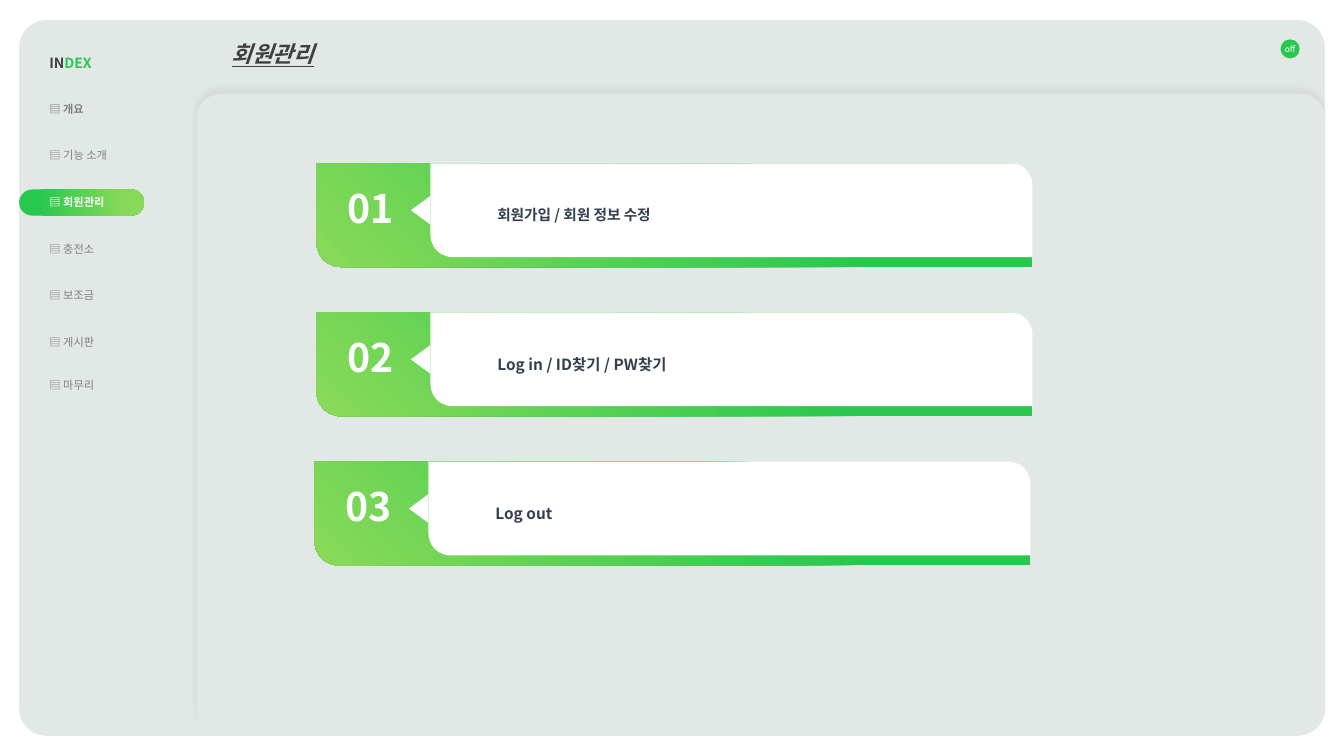
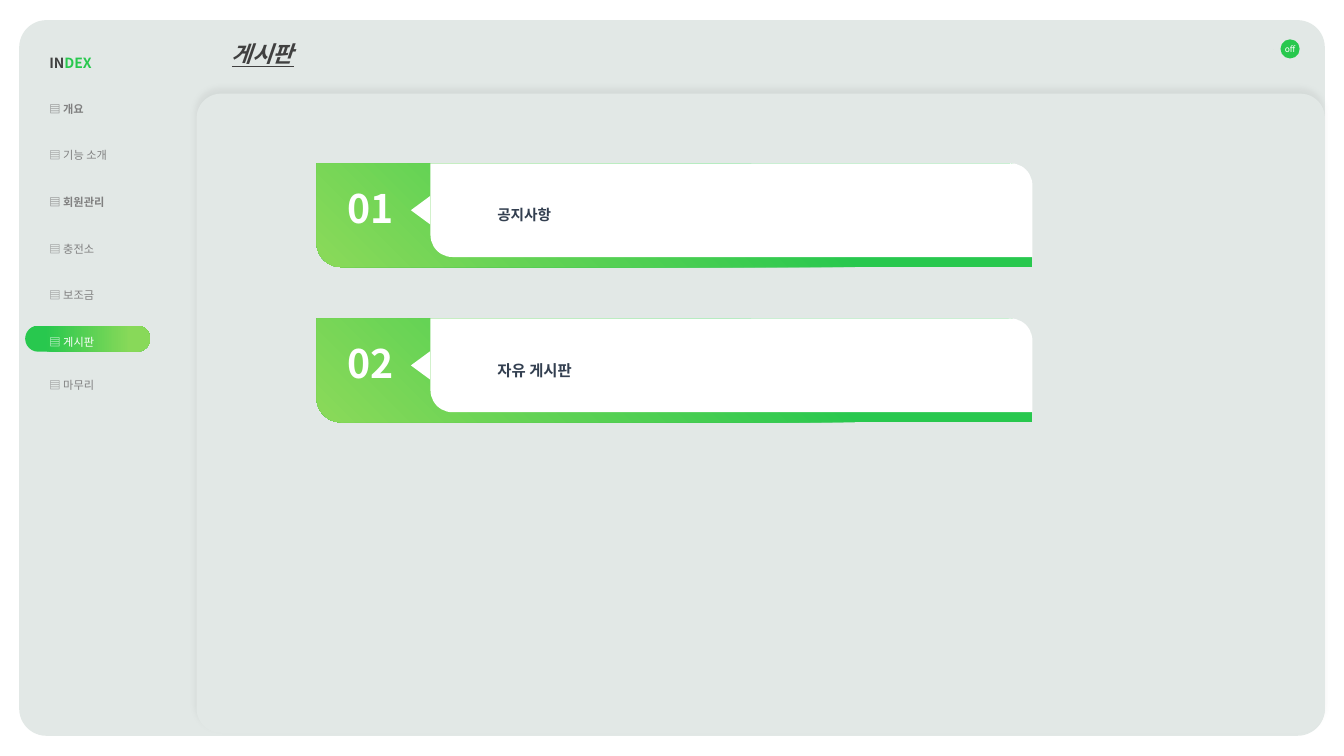
from lxml.etree import SubElement
from pptx import Presentation
from pptx.dml.color import RGBColor
from pptx.enum.shapes import MSO_SHAPE as SHAPE
from pptx.enum.text import MSO_ANCHOR as ANCHOR, MSO_AUTO_SIZE as AUTO_SIZE, PP_ALIGN as ALIGN
from pptx.oxml.ns import qn
from pptx.util import Inches, Pt

FONT = "Noto Sans CJK KR"
COLORS = {
    "panel": "E2E8E6",
    "green": "28C84E",
    "lime": "88D959",
    "white": "FFFFFF",
    "shadow": "000000",
    "title": "404040",
    "menu": "808080",
    "phone": "595959",
    "card_text": "333F50",
}
MENU = ["개요", "기능 소개", "회원관리", "충전소", "보조금", "게시판", "마무리"]
BOLD_MENU = {"개요", "회원관리"}
NO_TABLE_STYLE = "{2D5ABB26-0587-4C30-8999-92F81FD0307C}"
CARD_TOP = 1.62
SLIDES = [
    {
        "title": "회원관리",
        "title_width": 1.1,
        "pill": (0.19, 1.88),
        "pitch": 1.48,
        "cards": [
            (3.14, "회원가입 / 회원 정보 수정", 10.5),
            (3.14, "Log in / ID찾기 / PW찾기", 11),
            (3.12, "Log out", 11),
        ],
    },
    {
        "title": "게시판",
        "title_width": 0.88,
        "pill": (0.25, 3.23),
        "pitch": 1.54,
        "cards": [(3.14, "공지사항", 10.5), (3.14, "자유 게시판", 11)],
    },
]


def rgb(name):
    return RGBColor.from_string(COLORS[name])


def style_font(font, size, color, bold=False):
    font.name = FONT
    font.size = Pt(size)
    font.bold = bold
    font.color.rgb = rgb(color)
    SubElement(font._rPr, qn("a:ea"), typeface=FONT)


def write(frame, text, size, color, bold=False, align=ALIGN.LEFT, spacing=None):
    """Fill a text frame with one paragraph in one style."""
    frame.text = text
    paragraph = frame.paragraphs[0]
    paragraph.alignment = align
    paragraph.line_spacing = spacing
    style_font(paragraph.font, size, color, bold)
    return paragraph


def set_margins(frame, left, top, right, bottom):
    frame.margin_left, frame.margin_top = Inches(left), Inches(top)
    frame.margin_right, frame.margin_bottom = Inches(right), Inches(bottom)


def add_plain(shapes, kind, left, top, width, height, color=None, adjustments=()):
    """Add a preset shape without outline or shadow."""
    shape = shapes.add_shape(kind, Inches(left), Inches(top), Inches(width), Inches(height))
    for index, value in enumerate(adjustments):
        shape.adjustments[index] = value
    shape.shadow.inherit = False
    shape.line.fill.background()
    if color:
        shape.fill.solid()
        shape.fill.fore_color.rgb = rgb(color)
    return shape


def fill_gradient(shape, start, end, clockwise_angle):
    """Blend green into lime between two positions from 0 to 1."""
    shape.fill.gradient()
    shape.fill.gradient_angle = -clockwise_angle % 360
    for stop, position, color in zip(shape.fill.gradient_stops, (start, end), ("green", "lime")):
        stop.position = position
        stop.color.rgb = rgb(color)


def add_upward_shadow(shape):
    effects = shape._element.spPr.find(qn("a:effectLst"))
    shadow = SubElement(effects, qn("a:outerShdw"), blurRad=str(Pt(4)), dist=str(Pt(3)),
                        dir="16200000", algn="b", rotWithShape="0")
    color = SubElement(shadow, qn("a:srgbClr"), val=COLORS["shadow"])
    SubElement(color, qn("a:alpha"), val="5000")


def place_title(slide, text, width):
    title = slide.shapes.title
    slide.shapes._spTree.append(title._element)  # bring in front of the panel
    title.left, title.top = Inches(2.2), Inches(0.35)
    title.width, title.height = Inches(width), Inches(0.37)
    frame = title.text_frame
    frame.word_wrap = False
    frame.auto_size = AUTO_SIZE.NONE
    frame.vertical_anchor = ANCHOR.TOP
    font = write(frame, text, 16, "title", bold=True).font
    font.italic = font.underline = True


def add_phone(slide, left, top):
    """Draw a phone with cut-out screen, speaker and button, and its badge."""
    def box(x1, y1, x2, y2):
        return [(x1, y1), (x1, y2), (x2, y2), (x2, y1)]

    body = [(0.01, 0), (0.12, 0), (0.13, 0.01), (0.13, 0.2),
            (0.12, 0.21), (0.01, 0.21), (0, 0.2), (0, 0.01)]
    cutouts = [box(0.01, 0.02, 0.12, 0.18), box(0.05, 0.01, 0.08, 0.01),
               box(0.06, 0.19, 0.07, 0.2)]
    builder = slide.shapes.build_freeform(*body[0], scale=Inches(1))
    builder.add_line_segments(body[1:], close=True)
    for outline in cutouts:
        builder.move_to(*outline[0])
        builder.add_line_segments(outline[1:], close=True)
    phone = builder.convert_to_shape(Inches(left), Inches(top))
    phone.shadow.inherit = False
    phone.line.fill.background()
    phone.fill.solid()
    phone.fill.fore_color.rgb = rgb("phone")

    badge = add_plain(slide.shapes, SHAPE.OVAL, left + 0.07, top - 0.1, 0.19, 0.19, "green")
    frame = badge.text_frame
    frame.word_wrap = False
    frame.vertical_anchor = ANCHOR.MIDDLE
    set_margins(frame, 0.04, 0.04, 0.04, 0.04)
    write(frame, "off", 6, "white", align=ALIGN.CENTER)


def add_card(slide, left, top, number, text, size):
    shapes = slide.shapes.add_group_shape().shapes
    corners = (0.234, 0)
    base = add_plain(shapes, SHAPE.ROUND_2_DIAG_RECTANGLE, left, top, 7.1, 1.03,
                     adjustments=corners)
    fill_gradient(base, 0.33, 0.98, 45)
    set_margins(base.text_frame, 0.24, 0.05, 0.1, 0.2)
    write(base.text_frame, f"{number:02}", 28, "white", bold=True)

    face = add_plain(shapes, SHAPE.ROUND_2_DIAG_RECTANGLE, left + 1.13, top, 5.97, 0.93,
                     "white", corners)
    set_margins(face.text_frame, 0.6, 0.05, 0.1, 0.05)
    write(face.text_frame, text, size, "card_text", bold=True, spacing=1.5)
    for part in (base, face):
        part._element.spPr.find(qn("a:xfrm")).set("flipH", "1")
        part.text_frame.vertical_anchor = ANCHOR.MIDDLE

    pointer = add_plain(shapes, SHAPE.ISOSCELES_TRIANGLE, left + 0.89, top + 0.37, 0.28, 0.19,
                        "white")
    pointer.rotation = 270


def add_menu(slide, left, top, active, pill_position):
    pill = add_plain(slide.shapes, SHAPE.ROUNDED_RECTANGLE, *pill_position, 1.24, 0.26,
                     adjustments=(0.5,))
    fill_gradient(pill, 0.16, 0.84, 0)

    row_count = len(MENU) + 2
    table = slide.shapes.add_table(row_count, 1, Inches(left), Inches(top),
                                   Inches(1.3), Inches(4.17)).table
    table.first_row = table.horz_banding = False
    table._tbl.tblPr.find(qn("a:tableStyleId")).text = NO_TABLE_STYLE
    cells = [table.cell(row, 0) for row in range(row_count)]
    for cell in cells:
        cell.fill.background()
        cell.vertical_anchor = ANCHOR.MIDDLE

    heading = cells[0].text_frame.paragraphs[0]
    heading.line_spacing = 1.5
    for text, color in (("IN", "title"), ("DEX", "green")):
        run = heading.add_run()
        run.text = text
        style_font(run.font, 10, color, bold=True)

    for cell, item in zip(cells[1:], MENU):
        write(cell.text_frame, f"▤ {item}", 8, "white" if item == active else "menu",
              bold=item in BOLD_MENU, spacing=None if item == MENU[-1] else 1.5)


def build_slide(prs, content):
    slide = prs.slides.add_slide(prs.slide_layouts[5])
    add_plain(slide.shapes, SHAPE.ROUNDED_RECTANGLE, 0.19, 0.2, 12.95, 7.1, "panel", (0.038,))
    place_title(slide, content["title"], content["title_width"])
    add_phone(slide, 12.63, 0.49)
    content_panel = add_plain(slide.shapes, SHAPE.ROUNDED_RECTANGLE, 1.95, 0.93, 11.19, 6.34,
                              "panel", (0.038,))
    add_upward_shadow(content_panel)
    for index, (left, text, size) in enumerate(content["cards"]):
        add_card(slide, left, CARD_TOP + index * content["pitch"], index + 1, text, size)
    add_menu(slide, 0.39, 0.34, content["title"], content["pill"])


def main():
    prs = Presentation()
    prs.slide_width, prs.slide_height = Inches(13.33), Inches(7.5)
    for content in SLIDES:
        build_slide(prs, content)
    prs.save("out.pptx")


if __name__ == "__main__":
    main()
